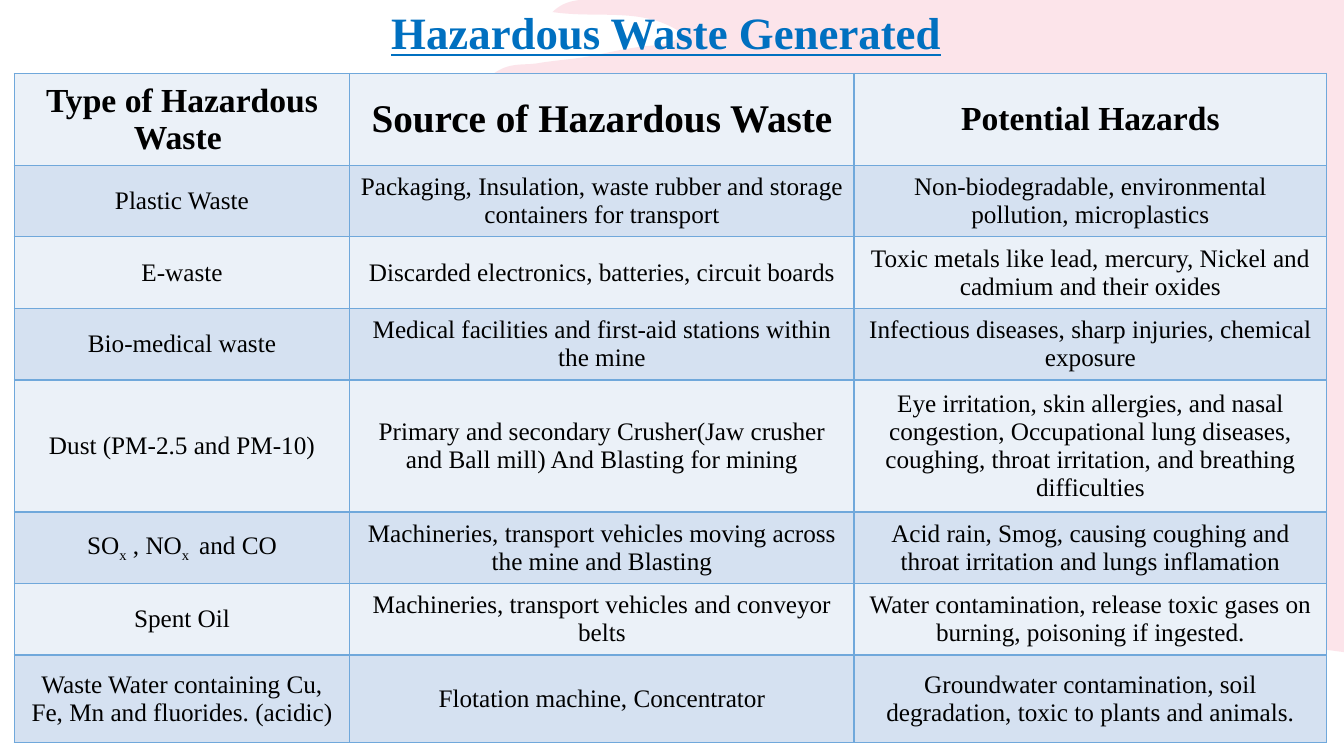
from dataclasses import dataclass

from lxml.etree import SubElement
from pptx import Presentation
from pptx.dml.color import RGBColor as Color
from pptx.enum.text import MSO_ANCHOR as Anchor, MSO_AUTO_SIZE as AutoSize, PP_ALIGN as Align
from pptx.oxml.ns import qn
from pptx.util import Inches, Pt


@dataclass(frozen=True)
class Theme:
    font: str = "Times New Roman"
    title: Color = Color.from_string("0070C0")
    text: Color = Color.from_string("000000")
    border: str = "70A8DB"
    bands: tuple = (Color.from_string("EBF1F8"), Color.from_string("D5E1F1"))
    brush: Color = Color.from_string("F07C98")
    brush_opacity: int = 20
    title_size: int = 32
    header_sizes: tuple = (24, 28, 24)
    body_size: int = 18


COLUMN_WIDTHS = (3.33, 5, 4.69)
ROW_HEIGHTS = (0.91, 0.71, 0.71, 0.71, 1.31, 0.71, 0.71, 0.87)

# Text between a pair of bars is subscript.
ROWS = (
    ("Type of Hazardous Waste ", "Source of Hazardous Waste", "Potential Hazards"),
    ("Plastic Waste",
     "Packaging, Insulation, waste rubber and storage containers for transport",
     "Non-biodegradable, environmental pollution, microplastics"),
    ("E-waste",
     "Discarded electronics, batteries, circuit boards",
     "Toxic metals like lead, mercury, Nickel and cadmium and their oxides"),
    ("Bio-medical waste",
     "Medical facilities and first-aid stations within the mine",
     "Infectious diseases, sharp injuries, chemical exposure"),
    ("Dust (PM-2.5 and PM-10)",
     "Primary and secondary Crusher(Jaw crusher and Ball mill) And Blasting for mining",
     "Eye irritation, skin allergies, and nasal congestion, Occupational lung diseases, "
     "coughing, throat irritation, and breathing difficulties"),
    ("SO|x| , NO|x | and CO",
     "Machineries, transport vehicles moving across the mine and Blasting",
     "Acid rain, Smog, causing coughing and throat irritation and lungs inflamation"),
    ("Spent Oil",
     "Machineries, transport vehicles and conveyor belts",
     "Water contamination, release toxic gases on burning, poisoning if ingested."),
    ("Waste Water containing Cu, Fe, Mn and fluorides. (acidic)",
     "Flotation machine, Concentrator",
     "Groundwater contamination, soil degradation, toxic to plants and animals."),
)

# Cubic curves of the brush stroke: two control points and an end point each.
BRUSH_START = (5.75, 0)
BRUSH_CURVES = (
    (5.67, 0.01, 5.57, 0.03, 5.48, 0.12), (5.95, 0.19, 6.39, 0.06, 6.78, 0.34),
    (6.64, 0.47, 6.48, 0.44, 6.32, 0.47), (6.16, 0.49, 6, 0.53, 5.84, 0.56),
    (5.67, 0.59, 5.49, 0.6, 5.32, 0.63), (5.18, 0.65, 5.02, 0.61, 4.85, 0.77),
    (5.27, 0.88, 5.66, 0.71, 6.08, 0.82), (5.84, 0.92, 5.63, 0.89, 5.44, 0.95),
    (5.27, 1, 5.06, 0.94, 4.92, 1.11), (4.81, 1.24, 4.69, 1.26, 4.55, 1.18),
    (4.42, 1.11, 4.28, 1.13, 4.15, 1.2), (4.11, 1.23, 4.06, 1.26, 4.06, 1.32),
    (4.06, 1.41, 4.12, 1.43, 4.18, 1.44), (4.24, 1.46, 4.31, 1.47, 4.37, 1.46),
    (4.74, 1.39, 5.1, 1.5, 5.47, 1.49), (4.31, 1.76, 3.14, 1.67, 1.93, 1.76),
    (2.09, 1.95, 2.29, 1.79, 2.41, 1.93), (2.3, 2.22, 2.34, 2.37, 2.58, 2.39),
    (2.8, 2.41, 3.04, 2.31, 3.16, 2.65), (3.2, 2.76, 3.41, 2.73, 3.55, 2.75),
    (3.84, 2.79, 4.14, 2.75, 4.42, 2.88), (4.53, 2.93, 4.6, 2.97, 4.55, 3.11),
    (4.49, 3.25, 4.56, 3.3, 4.66, 3.36), (4.73, 3.4, 4.83, 3.39, 4.89, 3.52),
    (4.28, 3.5, 3.69, 3.4, 3.09, 3.5), (3.75, 3.74, 4.47, 3.73, 5.12, 4.02),
    (5.1, 4.12, 4.95, 4.07, 4.94, 4.22), (5.28, 4.38, 5.69, 4.27, 6.05, 4.5),
    (5.84, 4.61, 5.65, 4.44, 5.45, 4.54), (5.52, 4.69, 8.4, 5.61, 8.92, 5.71),
    (9.78, 5.87, 11.95, 6.25, 13.18, 6.45),
)
BRUSH_CORNERS = ((13.33, 6.47), (13.33, 0))


def curve_lines(lines):
    """Turn each three successive line elements into one cubic curve."""
    for first, second, third in zip(lines[::3], lines[1::3], lines[2::3]):
        first.tag = qn("a:cubicBezTo")
        for line in (second, third):
            first.append(line[0])
            line.getparent().remove(line)


class SlideBuilder:
    def __init__(self, slide, theme):
        self.slide = slide
        self.theme = theme

    def style(self, paragraph, size, color, bold, align):
        paragraph.alignment = align
        font = paragraph.font
        font.name, font.size, font.bold = self.theme.font, Pt(size), bold
        font.color.rgb = color

    def add_brush(self, start, curves, corners):
        """Draw the translucent outline behind everything else."""
        points = [point for curve in curves for point in zip(curve[::2], curve[1::2])]
        builder = self.slide.shapes.build_freeform(Inches(start[0]), Inches(start[1]))
        builder.add_line_segments([(Inches(x), Inches(y)) for x, y in (*points, *corners)])
        shape = builder.convert_to_shape()
        curve_lines(list(shape._element.iter(qn("a:lnTo")))[:len(points)])
        shape.shadow.inherit = False
        shape.line.fill.background()
        shape.fill.solid()
        shape.fill.fore_color.rgb = self.theme.brush
        color = shape.fill._xPr.find(qn("a:solidFill"))[0]
        SubElement(color, qn("a:alpha")).set("val", str(self.theme.brush_opacity * 1000))
        self.slide.shapes._spTree.insert(2, shape._element)

    def add_title(self, text, left, top, width, height):
        title = self.slide.shapes.title
        title.left, title.top = Inches(left), Inches(top)
        title.width, title.height = Inches(width), Inches(height)
        frame = title.text_frame
        frame.text = text
        frame.word_wrap = True
        frame.auto_size = AutoSize.NONE
        frame.vertical_anchor = Anchor.TOP
        paragraph = frame.paragraphs[0]
        self.style(paragraph, self.theme.title_size, self.theme.title, True, Align.LEFT)
        paragraph.font.underline = True

    def add_table(self, rows, left, top, widths, heights):
        table = self.slide.shapes.add_table(
            len(rows), len(widths), Inches(left), Inches(top),
            Inches(sum(widths)), Inches(sum(heights))).table
        table.first_row = table.horz_banding = False
        for column, width in zip(table.columns, widths):
            column.width = Inches(width)
        for row_index, (texts, height) in enumerate(zip(rows, heights)):
            table.rows[row_index].height = Inches(height)
            header = row_index == 0
            for column_index, text in enumerate(texts):
                size = self.theme.header_sizes[column_index] if header else self.theme.body_size
                self.fill_cell(table.cell(row_index, column_index), text, size, header,
                               self.theme.bands[row_index % 2])

    def fill_cell(self, cell, text, size, bold, color):
        cell.vertical_anchor = Anchor.MIDDLE
        self.add_borders(cell)
        cell.fill.solid()
        cell.fill.fore_color.rgb = color
        paragraph = cell.text_frame.paragraphs[0]
        self.style(paragraph, size, self.theme.text, bold, Align.CENTER)
        for index, part in enumerate(text.split("|")):
            run = paragraph.add_run()
            run.text = part
            if index % 2:
                run._r.get_or_add_rPr().set("baseline", "-25000")

    def add_borders(self, cell):
        properties = cell._tc.get_or_add_tcPr()
        for side in "LRTB":
            line = SubElement(properties, qn(f"a:ln{side}"), w=str(Pt(1)))
            fill = SubElement(line, qn("a:solidFill"))
            SubElement(fill, qn("a:srgbClr"), val=self.theme.border)


def main():
    presentation = Presentation()
    presentation.slide_width, presentation.slide_height = Inches(13.33), Inches(7.5)
    title_only = presentation.slide_layouts[5]
    builder = SlideBuilder(presentation.slides.add_slide(title_only), Theme())
    builder.add_brush(BRUSH_START, BRUSH_CURVES, BRUSH_CORNERS)
    builder.add_title("Hazardous Waste Generated", 3.78, 0, 5.78, 0.64)
    builder.add_table(ROWS, 0.14, 0.73, COLUMN_WIDTHS, ROW_HEIGHTS)
    presentation.save("out.pptx")


if __name__ == "__main__":
    main()
